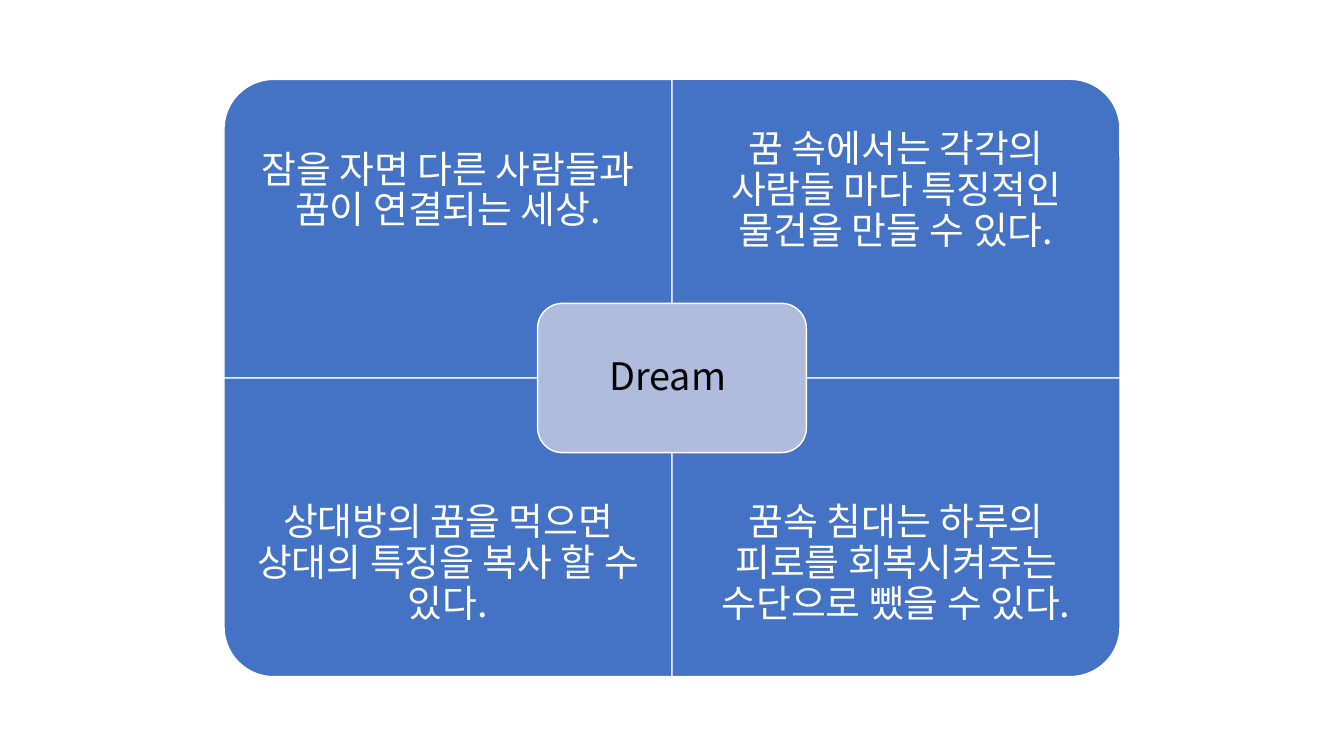
from lxml import etree
from pptx import Presentation
from pptx import util as u
from pptx.dml.color import RGBColor
from pptx.enum import shapes, text
from pptx.oxml.ns import qn

COLORS = {"quadrant": "4472C4", "center": "B0BCDE", "light": "FFFFFF", "dark": "000000"}
FONT = "Noto Sans CJK KR"
MIDDLE_X, MIDDLE_Y = 480, 270
QUADRANT_WIDTH, QUADRANT_HEIGHT = 320, 213.33
LABEL_HEIGHT = 160
CENTER_WIDTH, CENTER_HEIGHT = 192, 106.67
CENTER_MARGIN = 5.2

QUADRANTS = [
    (-1, -1, 270, "잠을 자면 다른 사람들과 꿈이 연결되는 세상."),
    (1, -1, 0, "꿈 속에서는 각각의 사람들 마다 특징적인 물건을 만들 수 있다."),
    (-1, 1, 180, "상대방의 꿈을 먹으면 상대의 특징을 복사 할 수 있다."),
    (1, 1, 90, "꿈속 침대는 하루의 피로를 회복시켜주는 수단으로 뺐을 수 있다."),
]


class MatrixSlide:
    """Draws matrix elements placed by their centre, in points."""

    def __init__(self, slide):
        self.slide = slide

    def frame(self, x, y, width, height):
        return [u.Pt(v) for v in (x - width / 2, y - height / 2, width, height)]

    def panel(self, kind, x, y, width, height, fill, rotation=0):
        shape = self.slide.shapes.add_shape(kind, *self.frame(x, y, width, height))
        shape.rotation = rotation
        shape.shadow.inherit = False
        shape.fill.solid()
        shape.fill.fore_color.rgb = RGBColor.from_string(COLORS[fill])
        shape.line.color.rgb = RGBColor.from_string(COLORS["light"])
        shape.line.width = u.Pt(1)

    def label(self, content, x, y, width, height, color, inset):
        box = self.slide.shapes.add_textbox(*self.frame(x, y, width, height))
        frame = box.text_frame
        frame.word_wrap = True
        frame.vertical_anchor = text.MSO_ANCHOR.MIDDLE
        frame.margin_left = frame.margin_right = u.Pt(inset)
        frame.margin_top = frame.margin_bottom = u.Pt(inset)
        paragraph = frame.paragraphs[0]
        paragraph.text = content
        paragraph.alignment = text.PP_ALIGN.CENTER
        paragraph.line_spacing = 0.9
        paragraph.space_after = u.Pt(9.45)
        font = paragraph.font
        font.size = u.Pt(27)
        font.name = FONT
        font.color.rgb = RGBColor.from_string(COLORS[color])
        properties = paragraph._p.pPr.find(qn("a:defRPr"))
        etree.SubElement(properties, qn("a:ea"), typeface=FONT)


def main():
    presentation = Presentation()
    presentation.slide_width, presentation.slide_height = u.Pt(960), u.Pt(540)
    slide = presentation.slides.add_slide(presentation.slide_layouts[6])
    matrix = MatrixSlide(slide)

    for side_x, side_y, rotation, content in QUADRANTS:
        x = MIDDLE_X + side_x * QUADRANT_WIDTH / 2
        y = MIDDLE_Y + side_y * QUADRANT_HEIGHT / 2
        size = (QUADRANT_WIDTH, QUADRANT_HEIGHT)
        if rotation % 180:
            size = size[::-1]
        matrix.panel(shapes.MSO_SHAPE.ROUND_1_RECTANGLE, x, y, *size, "quadrant", rotation)
        label_y = MIDDLE_Y + side_y * (QUADRANT_HEIGHT - LABEL_HEIGHT / 2)
        matrix.label(content, x, label_y, QUADRANT_WIDTH, LABEL_HEIGHT, "light", 15)

    matrix.panel(shapes.MSO_SHAPE.ROUNDED_RECTANGLE, MIDDLE_X, MIDDLE_Y,
                 CENTER_WIDTH, CENTER_HEIGHT, "center")
    matrix.label("Dream ", MIDDLE_X, MIDDLE_Y, CENTER_WIDTH - 2 * CENTER_MARGIN,
                 CENTER_HEIGHT - 2 * CENTER_MARGIN, "dark", 8)
    presentation.save("out.pptx")


if __name__ == "__main__":
    main()
